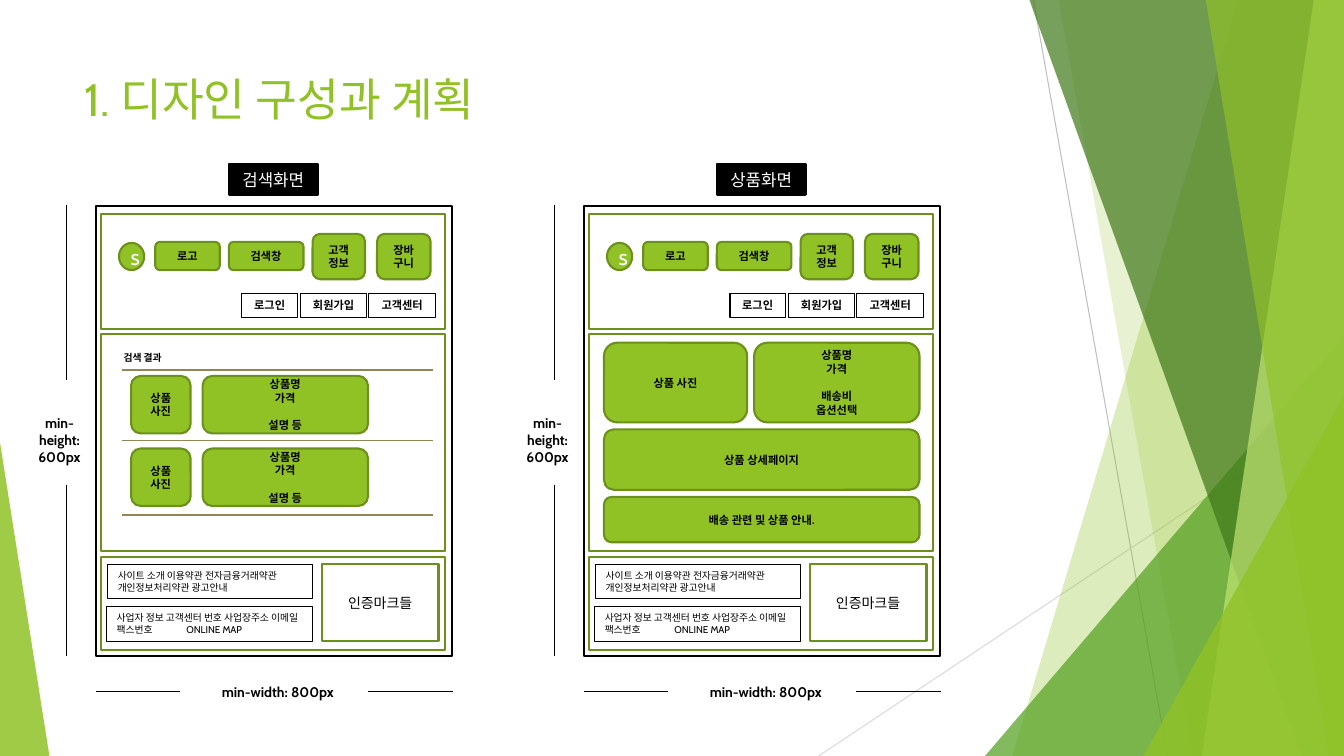
from lxml.etree import SubElement
from pptx import Presentation
from pptx.dml.color import RGBColor
from pptx.enum.shapes import MSO_CONNECTOR, MSO_SHAPE
from pptx.enum.text import MSO_ANCHOR, MSO_AUTO_SIZE, PP_ALIGN
from pptx.oxml.ns import qn
from pptx.util import Pt

PX = 9144


class Theme:
    font = "Cabin"
    black, white = "000000", "FFFFFF"
    green, dark_green, rule = "90C226", "6B901C", "918655"
    leaf, forest, lime = "54A021", "3F7819", "C0E474"
    ray_dark, ray_light = "BFBFBF", "D9D9D9"
    title, mark, tag, note, label, small = 32.4, 16, 12, 10, 8, 7


STYLES = {
    "page": (MSO_SHAPE.RECTANGLE, Theme.white, Theme.black, 1.5, Theme.note, Theme.black, False),
    "section": (MSO_SHAPE.RECTANGLE, Theme.white, Theme.dark_green, 1.5, Theme.note, Theme.black, False),
    "tag": (MSO_SHAPE.RECTANGLE, Theme.black, Theme.black, 1.5, Theme.tag, Theme.white, False),
    "mark": (MSO_SHAPE.OVAL, Theme.green, Theme.dark_green, 1.5, Theme.mark, Theme.white, False),
    "block": (MSO_SHAPE.ROUNDED_RECTANGLE, Theme.green, Theme.dark_green, 1.5, Theme.label, Theme.black, True),
    "link": (MSO_SHAPE.RECTANGLE, None, Theme.black, 0.75, Theme.label, Theme.black, True),
    "legal": (MSO_SHAPE.RECTANGLE, None, Theme.black, 0.75, Theme.small, Theme.black, False),
    "heading": (MSO_SHAPE.RECTANGLE, Theme.white, Theme.white, 0.75, Theme.small, Theme.black, True),
    "size": (None, None, None, 0, Theme.note, Theme.black, True),
}

presentation = Presentation()
presentation.slide_width, presentation.slide_height = 1333 * PX, 750 * PX
slide = presentation.slides.add_slide(presentation.slide_layouts[5])


def add_line(x1, y1, x2, y2, color, width):
    line = slide.shapes.add_connector(MSO_CONNECTOR.STRAIGHT, x1 * PX, y1 * PX, x2 * PX, y2 * PX)
    line.line.color.rgb = RGBColor.from_string(color)
    line.line.width = Pt(width)
    SubElement(line._element.spPr, qn("a:effectLst"))


def add_box(style, x, y, width, height, text=""):
    preset, fill, outline, weight, size, color, bold = STYLES[style]
    place = x * PX, y * PX, width * PX, height * PX
    if preset is None:
        box = slide.shapes.add_textbox(*place)
    else:
        box = slide.shapes.add_shape(preset, *place)
        box.shadow.inherit = False
        box.line.color.rgb = RGBColor.from_string(outline)
        box.line.width = Pt(weight)
        if fill:
            box.fill.solid()
            box.fill.fore_color.rgb = RGBColor.from_string(fill)
        else:
            box.fill.background()
    frame = box.text_frame
    frame.word_wrap = True
    frame.vertical_anchor = MSO_ANCHOR.MIDDLE
    frame.text = text
    for paragraph in frame.paragraphs:
        paragraph.alignment = PP_ALIGN.LEFT if style == "legal" else PP_ALIGN.CENTER
        for run in paragraph.runs:
            run.font.name = Theme.font
            run.font.size = Pt(size)
            run.font.bold = bold
            run.font.color.rgb = RGBColor.from_string(color)
    return box


add_line(1025, 0, 1158, 750, Theme.ray_dark, 0.75)
add_line(1333, 403, 812, 750, Theme.ray_light, 0.75)

facets = [
    ([(1228, 0), (1333, 0), (1333, 750), (1004, 750)], Theme.green, 30),
    ([(1050, 0), (1333, 0), (1333, 750), (1183, 750)], Theme.green, 20),
    ((977, 333, 356, 417, 1), Theme.leaf, 72),
    ([(1021, 0), (1333, 0), (1333, 750), (1291, 750)], Theme.forest, 70),
    ([(1303, 0), (1333, 0), (1333, 750), (1192, 750)], Theme.lime, 70),
    ([(1196, 0), (1333, 0), (1333, 750), (1318, 750)], Theme.green, 65),
    ((1134, 393, 199, 357, 1), Theme.green, 80),
    ((0, 439, 49, 311, 0), Theme.green, 85),
]
for outline, color, opacity in facets:
    if isinstance(outline, list):
        builder = slide.shapes.build_freeform(*outline[0], scale=PX)
        builder.add_line_segments(outline[1:], close=True)
        facet = builder.convert_to_shape()
    else:
        x, y, width, height, apex = outline
        facet = slide.shapes.add_shape(
            MSO_SHAPE.ISOSCELES_TRIANGLE, x * PX, y * PX, width * PX, height * PX)
        facet.adjustments[0] = apex
    facet.shadow.inherit = False
    facet.line.fill.background()
    facet.fill.solid()
    facet.fill.fore_color.rgb = RGBColor.from_string(color)
    tint = facet._element.spPr.find(qn("a:solidFill"))[0]
    SubElement(tint, qn("a:alpha"), val=str(opacity * 1000))

title = slide.shapes.title
title.left, title.top, title.width, title.height = 74 * PX, 67 * PX, 940 * PX, 61 * PX
title.text_frame.text = "1. 디자인 구성과 계획"
title.text_frame.auto_size = MSO_AUTO_SIZE.NONE
title.text_frame.vertical_anchor = MSO_ANCHOR.MIDDLE
heading = title.text_frame.paragraphs[0]
heading.alignment = PP_ALIGN.LEFT
heading.runs[0].font.name = Theme.font
heading.runs[0].font.size = Pt(Theme.title)
heading.runs[0].font.color.rgb = RGBColor.from_string(Theme.green)

shared_parts = [
    ("page", 95, 204, 353, 447),
    ("size", 197, 673, 157, 27, "min-width: 800px"),
    ("size", 23, 406, 72, 61, "min-height: 600px"),
    ("section", 100, 331, 341, 216),
    ("section", 100, 553, 341, 92),
    ("legal", 107, 560, 203, 34, "사이트 소개 이용약관 전자금융거래약관 개인정보처리약관 광고안내"),
    ("section", 319, 560, 116, 76, "인증마크들"),
    ("section", 100, 212, 341, 114),
    ("mark", 118, 241, 25, 27, "s"),
    ("block", 154, 240, 64, 28, "로고"),
    ("block", 227, 240, 74, 28, "검색창"),
    ("block", 310, 232, 52, 45, "고객정보"),
    ("block", 374, 232, 53, 45, "장바구니"),
    ("link", 240, 291, 55, 24, "로그인"),
    ("link", 298, 291, 66, 24, "회원가입"),
    ("link", 366, 291, 66, 24, "고객센터"),
]
size_lines = [(95, 686, 179, 686), (365, 686, 449, 686), (66, 203, 66, 377), (66, 481, 66, 651)]
search_parts = [("heading", 110, 344, 63, 22, "검색 결과")]
search_summaries = []
for row_top in (373, 445):
    search_parts.append(("block", 130, row_top, 59, 57, "상품 사진"))
    search_summaries.append((201, row_top, 164, 57, "상품명\n가격\n설명 등"))
product_parts = [
    ("block", 115, 340, 142, 79, "상품 사진"),
    ("block", 115, 426, 313, 60, "상품 상세페이지"),
    ("block", 115, 493, 313, 45, "배송 관련 및 상품 안내."),
]
product_summaries = [(264, 340, 164, 79, "상품명\n가격\n배송비\n옵션선택")]

screens = [
    (0, "검색화면", search_parts, search_summaries, [367, 437, 511]),
    (484, "상품화면", product_parts, product_summaries, []),
]
for offset, name, parts, summaries, rules in screens:
    for style, x, *rest in shared_parts + [("tag", 227, 163, 88, 30, name)] + parts:
        add_box(style, x + offset, *rest)
    for x, *rest in summaries:
        summary = add_box("block", x + offset, *rest)
        summary.text_frame.paragraphs[2].space_before = Pt(10)
    contact = add_box("legal", 106 + offset, 602, 204, 34,
                      "사업자 정보 고객센터 번호 사업장주소 이메일 팩스번호\tONLINE MAP")
    tabs = SubElement(contact.text_frame.paragraphs[0]._p.get_or_add_pPr(), qn("a:tabLst"))
    SubElement(tabs, qn("a:tab"), pos=str(69 * PX), algn="l")
    for x1, y1, x2, y2 in size_lines:
        add_line(x1 + offset, y1, x2 + offset, y2, Theme.black, 1)
    for y in rules:
        add_line(121 + offset, y, 429 + offset, y, Theme.rule, 1)

presentation.save("out.pptx")
